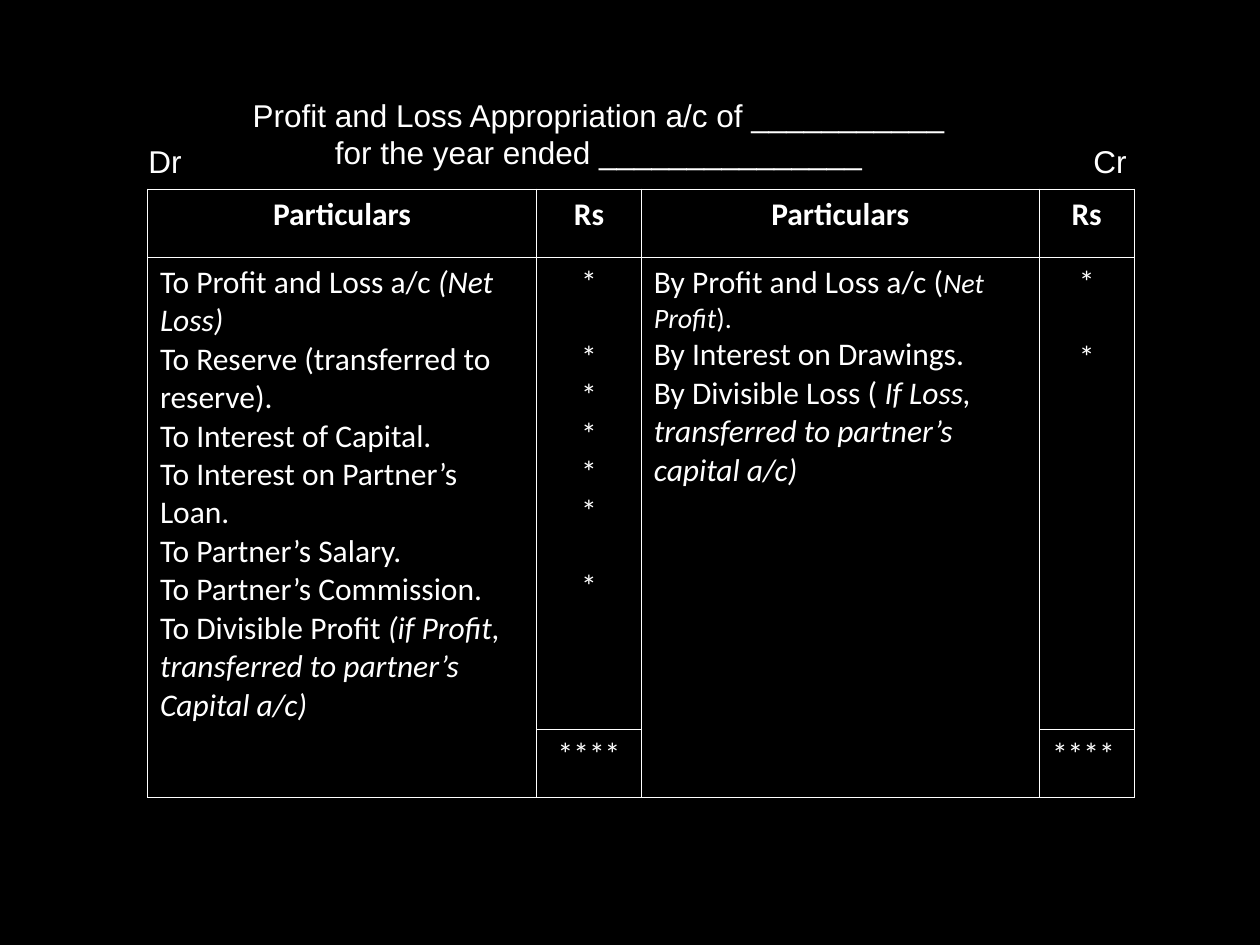
from dataclasses import dataclass

from pptx import Presentation
from pptx.dml.color import RGBColor as Rgb
from pptx.enum.text import PP_ALIGN as Align
from pptx.oxml import parse_xml
from pptx.oxml.ns import nsdecls
from pptx.util import Inches, Pt


@dataclass(frozen=True)
class Theme:
    """Colours, fonts and type sizes of the slide."""
    back: str = "000000"
    ink: str = "FFFFFF"
    head: str = "Arial"
    body: str = "Calibri"
    size: int = 18
    small: int = 16
    rule: float = 0.45
    gap: int = 21


THEME = Theme()
COLS = (3.09, 0.83, 3.16, 0.75)
ROWS = (0.54, 3.75, 0.54)
TITLES = ("Particulars", "Rs", "Particulars", "Rs")
DEBITS = (
    ("To Profit and Loss a/c ", "(Net Loss)"),
    ("To Reserve (transferred to reserve).",),
    ("To Interest of Capital.",),
    ("To Interest on Partner’s Loan.",),
    ("To Partner’s Salary.",),
    ("To Partner’s Commission.",),
    ("To Divisible Profit ", "(if Profit, transferred to partner’s Capital a/c)"),
)
CREDITS = (
    ("By Profit and Loss a/c (", "Net Profit", ")."),
    ("By Interest on Drawings.",),
    ("By Divisible Loss ( ", "If Loss, transferred to partner’s capital a/c)"),
)


def write(frame, lines, font, align=Align.LEFT, bold=False, gaps=()):
    """Write lines of runs, odd runs in italics, with a gap before some lines."""
    frame.word_wrap = True
    for i, line in enumerate(lines):
        para = frame.paragraphs[0] if i == 0 else frame.add_paragraph()
        para.alignment = align
        para.font.name, para.font.size = font, Pt(THEME.size)
        para.font.color.rgb = Rgb.from_string(THEME.ink)
        para.font.bold = bold
        if i in gaps:
            para.space_before = Pt(THEME.gap)
        for j, text in enumerate(line):
            run = para.add_run()
            run.text = text
            if j % 2:
                run.font.italic = True
            if len(line) == 3 and j:
                run.font.size = Pt(THEME.small)


def label(slide, box, lines, align=Align.LEFT):
    """Place a text box with one run on each line."""
    shape = slide.shapes.add_textbox(*map(Inches, box))
    write(shape.text_frame, [(line,) for line in lines], THEME.head, align)


def style(cell):
    """Rule the sides of a cell and leave it unfilled."""
    for side in "LRB" if cell.is_spanned else "LRTB":
        cell._tc.get_or_add_tcPr().append(parse_xml(
            f'<a:ln{side} {nsdecls("a")} w="{Pt(THEME.rule)}"><a:solidFill>'
            f'<a:srgbClr val="{THEME.ink}"/></a:solidFill></a:ln{side}>'))
    cell.fill.background()


def ledger(slide, box):
    """Place the two-sided account table."""
    table = slide.shapes.add_table(len(ROWS), len(COLS), *map(Inches, box)).table
    table.first_row = table.horz_banding = False
    for col, width in zip(table.columns, COLS):
        col.width = Inches(width)
    for row, height in zip(table.rows, ROWS):
        row.height = Inches(height)
    for col in (0, 2):
        table.cell(1, col).merge(table.cell(2, col))
    for cell in table.iter_cells():
        style(cell)
    for col, title in enumerate(TITLES):
        write(table.cell(0, col).text_frame, [(title,)], THEME.body, Align.CENTER, True)
    sides = ((0, DEBITS, 7, (1, 6), Align.CENTER), (2, CREDITS, 2, (1,), Align.LEFT))
    for col, items, stars, gaps, align in sides:
        write(table.cell(1, col).text_frame, items, THEME.body)
        write(table.cell(1, col + 1).text_frame, [("*",)] * stars, THEME.body,
              Align.CENTER, gaps=gaps)
        write(table.cell(2, col + 1).text_frame, [("****",)], THEME.body, align)


def heading(slide, box):
    """Place the account title and the side marks below it."""
    left, top, width, height = box
    label(slide, box, ("Profit and Loss Appropriation a/c of ___________",
                       "for the year ended _______________"), Align.CENTER)
    for text, shift in (("Dr", 0.58), ("Cr", width - 0.42)):
        label(slide, (left + shift, top + 0.37, 0.58, 0.4), (text,))


def main():
    """Build and save the slide."""
    deck = Presentation()
    deck.slide_width, deck.slide_height = Inches(10), Inches(7.5)
    slide = deck.slides.add_slide(deck.slide_layouts[6])
    fill = slide.background.fill
    fill.solid()
    fill.fore_color.rgb = Rgb.from_string(THEME.back)
    ledger(slide, (1.17, 1.5, sum(COLS), sum(ROWS)))
    heading(slide, (0.5, 0.71, 8.5, 0.7))
    deck.save("out.pptx")


if __name__ == "__main__":
    main()
